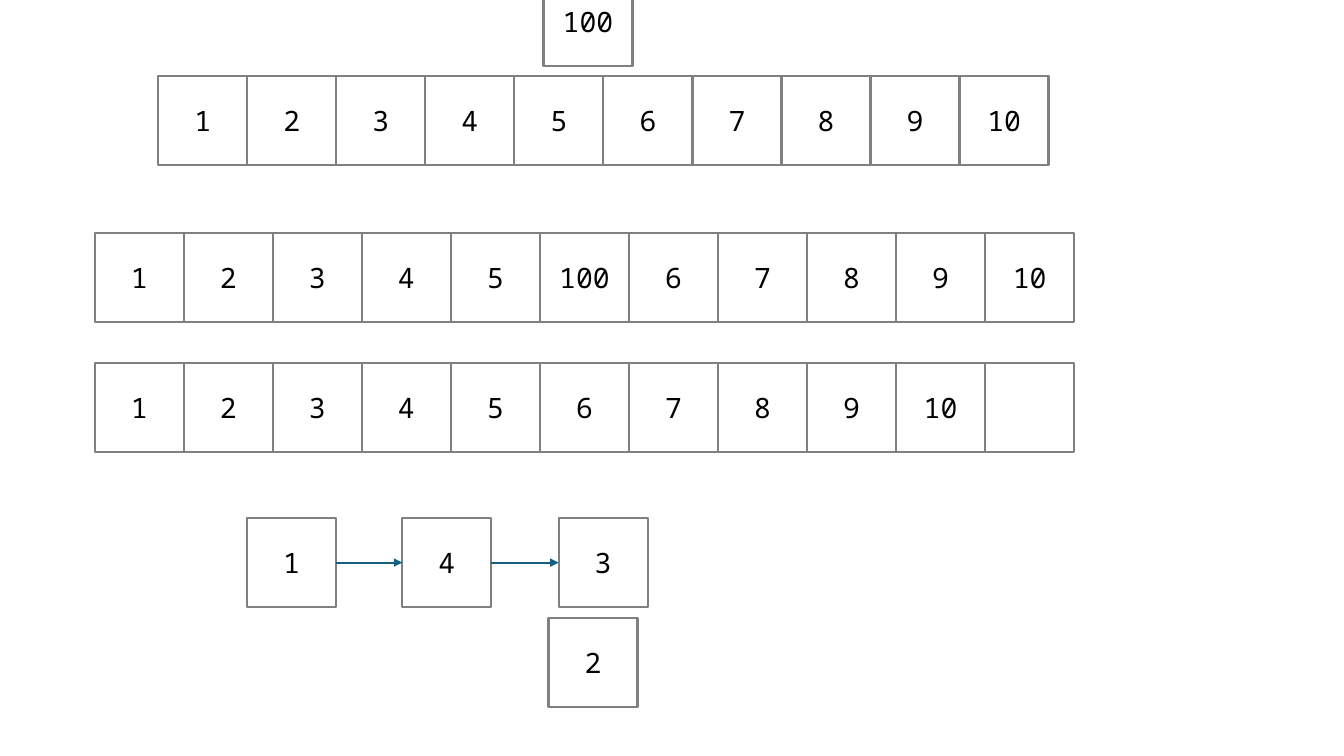
from dataclasses import dataclass

from lxml import etree
from pptx import Presentation
from pptx import util as u
from pptx.dml.color import RGBColor
from pptx.enum import shapes, text
from pptx.oxml import ns
from pptx.shapes.autoshape import Shape
from pptx.shapes.connector import Connector

SIDE = 8.83 / 10  # eleven cells run from 0.94 to 9.77
RIGHT, LEFT = 3, 1


@dataclass
class ArrayRow:
    left: float
    top: float
    values: list[str]


@dataclass
class Node:
    left: float
    top: float
    value: str


def color(value: str) -> RGBColor:
    return RGBColor.from_string(value)


def write(shape: Shape, words: str, *, size: float = 20, ink: str = "000000",
          face: str = "Noto Sans Mono") -> None:
    frame = shape.text_frame
    frame.word_wrap = True
    frame.vertical_anchor = text.MSO_ANCHOR.MIDDLE
    frame.margin_left = frame.margin_right = u.Inches(0.04)
    frame.margin_top = frame.margin_bottom = u.Inches(0.05)
    paragraph = frame.paragraphs[0]
    paragraph.alignment = text.PP_ALIGN.CENTER
    run = paragraph.add_run()
    run.text = words
    run.font.size = u.Pt(size)
    run.font.name = face
    run.font.color.rgb = color(ink)


def draw_cell(left: float, top: float, value: str) -> Shape:
    cell = slide.shapes.add_shape(
        shapes.MSO_SHAPE.RECTANGLE,
        u.Inches(left), u.Inches(top), u.Inches(SIDE), u.Inches(SIDE))
    cell.shadow.inherit = False
    cell.fill.solid()
    cell.fill.fore_color.rgb = color("FFFFFF")
    cell.line.color.rgb = color("808080")
    cell.line.width = u.Pt(1.5)
    if value:
        write(cell, value)
    return cell


def draw_row(row: ArrayRow) -> None:
    for index, value in enumerate(row.values):
        draw_cell(row.left + index * SIDE, row.top, value)


def draw_link(source: Shape, target: Shape) -> Connector:
    link = slide.shapes.add_connector(shapes.MSO_CONNECTOR.STRAIGHT, 0, 0, 0, 0)
    link.begin_connect(source, RIGHT)
    link.end_connect(target, LEFT)
    link.line.color.rgb = color("156082")
    link.line.width = u.Pt(1.5)
    etree.SubElement(link.line._get_or_add_ln(), ns.qn("a:tailEnd"), type="triangle")
    etree.SubElement(link._element.spPr, ns.qn("a:effectLst"))
    return link


deck = Presentation()
deck.slide_width, deck.slide_height = u.Inches(13.33), u.Inches(7.5)
slide = deck.slides.add_slide(deck.slide_layouts[6])

# Arrays: before, after the insertion, and with a spare last cell
numbers = [str(n) for n in range(1, 11)]
array_rows = [
    ArrayRow(1.57, 0.75, numbers),
    ArrayRow(0.94, 2.31, numbers[:5] + ["100"] + numbers[5:]),
    ArrayRow(0.94, 3.6, numbers + [""]),
]
for array_row in array_rows:
    draw_row(array_row)

# Values waiting to be inserted
for waiting in (Node(5.39, -0.23, "100"), Node(5.44, 6.13, "2")):
    draw_cell(waiting.left, waiting.top, waiting.value)

# Linked list
list_nodes = [Node(2.45, 5.14, "1"), Node(3.99, 5.14, "4"), Node(5.54, 5.14, "3")]
list_cells = [draw_cell(node.left, node.top, node.value) for node in list_nodes]
for source_cell, target_cell in zip(list_cells, list_cells[1:]):
    draw_link(source_cell, target_cell)

deck.save("out.pptx")
